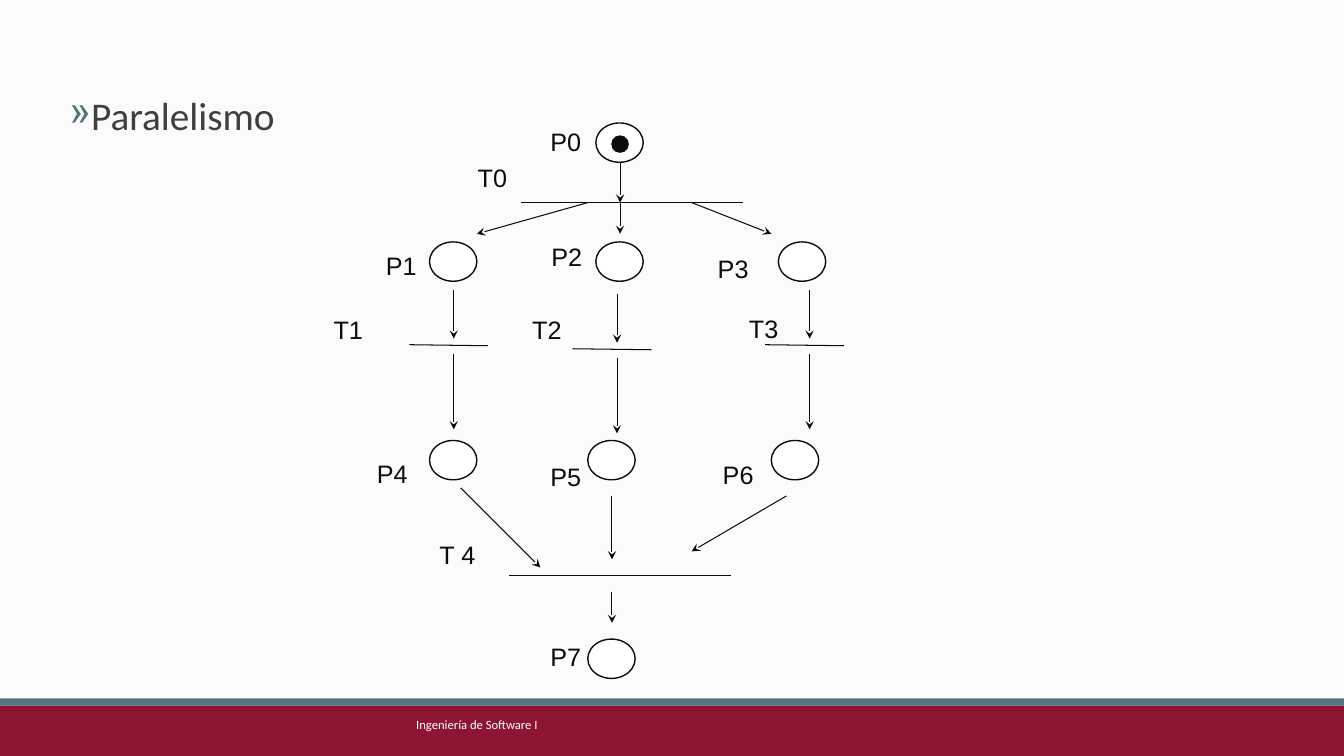
from dataclasses import dataclass

from lxml.etree import SubElement
from pptx import Presentation
from pptx.dml.color import RGBColor
from pptx.enum.shapes import MSO_CONNECTOR, MSO_SHAPE
from pptx.oxml.ns import qn
from pptx.slide import Slide
from pptx.text.text import _Paragraph
from pptx.util import Inches, Pt

COLORS = {
    "background": "FBFBFB",
    "footer": "8D1532",
    "accent": "54747B",
    "heading": "3F3F3F",
    "ink": "0C0C0C",
    "white": "FFFFFF",
}


@dataclass(frozen=True)
class Place:
    name: str
    left: float
    top: float
    label_left: float
    label_top: float
    label_width: float = 0.53


@dataclass(frozen=True)
class Label:
    text: str
    left: float
    top: float
    width: float = 0.53


@dataclass(frozen=True)
class Line:
    x1: float
    y1: float
    x2: float
    y2: float
    arrow: bool = True


@dataclass(frozen=True)
class Branch:
    """Arrow into a transition bar and arrow out of it, starting at (x, y)."""
    x: float
    y: float

    def lines(self) -> list[Line]:
        x, y = self.x, self.y
        return [
            Line(x - 0.44, y + 0.54, x + 0.34, y + 0.55, arrow=False),
            Line(x, y, x, y + 0.48),
            Line(x, y + 0.63, x, y + 1.38),
        ]


PLACES = [
    Place("P0", 5.91, 1.22, 5.36, 1.2),
    Place("P1", 4.26, 2.4, 3.73, 2.43),
    Place("P2", 5.91, 2.4, 5.37, 2.34),
    Place("P3", 7.72, 2.4, 7.02, 2.46, 0.79),
    Place("P4", 4.26, 4.37, 3.64, 4.5),
    Place("P5", 5.83, 4.37, 5.36, 4.53),
    Place("P6", 7.65, 4.37, 7.07, 4.51),
    Place("P7", 5.83, 6.34, 5.36, 6.31),
]

TRANSITIONS = [
    Label("T0", 4.64, 1.56),
    Label("T1", 3.21, 3.07),
    Label("T2", 5.18, 3.07),
    Label("T3", 7.33, 3.06),
    Label("T 4", 4.26, 5.3, 0.72),
]

FORK = [
    Line(5.17, 2.01, 7.37, 2.01, arrow=False),
    Line(6.15, 1.62, 6.15, 2.01),
    Line(5.83, 2.01, 4.73, 2.32),
    Line(6.15, 2.01, 6.15, 2.32),
    Line(6.86, 2.01, 7.65, 2.32),
]

BRANCHES = [Branch(4.5, 2.88), Branch(6.12, 2.92), Branch(8.03, 2.88)]

JOIN = [
    Line(5.05, 5.71, 7.25, 5.71, arrow=False),
    Line(4.57, 4.84, 5.36, 5.63),
    Line(6.07, 4.92, 6.07, 5.55),
    Line(7.8, 4.92, 6.86, 5.47),
    Line(6.07, 5.87, 6.07, 6.18),
]


def color(name: str) -> RGBColor:
    return RGBColor.from_string(COLORS[name])


def add_filled(slide: Slide, kind: MSO_SHAPE, left: float, top: float,
               width: float, height: float, fill: str, outline: str = "") -> None:
    figure = slide.shapes.add_shape(
        kind, Inches(left), Inches(top), Inches(width), Inches(height))
    figure.shadow.inherit = False
    figure.fill.solid()
    figure.fill.fore_color.rgb = color(fill)
    if outline:
        figure.line.color.rgb = color(outline)
        figure.line.width = Pt(1)
    else:
        figure.line.fill.background()


def add_text(slide: Slide, text: str, left: float, top: float, width: float,
             height: float, font: str, size: float, ink: str) -> _Paragraph:
    frame = slide.shapes.add_textbox(
        Inches(left), Inches(top), Inches(width), Inches(height)).text_frame
    frame.word_wrap = True
    paragraph = frame.paragraphs[0]
    paragraph.text = text
    paragraph.font.name = font
    paragraph.font.size = Pt(size)
    paragraph.font.color.rgb = color(ink)
    return paragraph


def add_bullet(paragraph: _Paragraph, mark: str, ink: str) -> None:
    properties = paragraph._p.get_or_add_pPr()
    properties.set("marL", str(Inches(0.07)))
    properties.set("indent", str(Inches(-0.19)))
    bullet_color = properties.makeelement(qn("a:buClr"), {})
    SubElement(bullet_color, qn("a:srgbClr"), val=COLORS[ink])
    bullet = properties.makeelement(qn("a:buChar"), {"char": mark})
    defaults = properties.find(qn("a:defRPr"))
    defaults.addprevious(bullet_color)
    defaults.addprevious(bullet)


def add_line(slide: Slide, line: Line) -> None:
    connector = slide.shapes.add_connector(
        MSO_CONNECTOR.STRAIGHT, Inches(line.x1), Inches(line.y1),
        Inches(line.x2), Inches(line.y2))
    connector.line.color.rgb = color("ink")
    connector.line.width = Pt(0.75)
    if line.arrow:
        SubElement(connector.line._get_or_add_ln(), qn("a:tailEnd"), type="stealth")
    SubElement(connector._element.spPr, qn("a:effectLst"))


def add_label(slide: Slide, label: Label) -> None:
    add_text(slide, label.text, label.left, label.top, label.width, 0.4,
             "Arial", 18, "ink")


def main() -> None:
    deck = Presentation()
    deck.slide_width, deck.slide_height = Inches(13.33), Inches(7.5)
    slide = deck.slides.add_slide(deck.slide_layouts[6])
    slide.background.fill.solid()
    slide.background.fill.fore_color.rgb = color("background")

    # Footer
    add_filled(slide, MSO_SHAPE.RECTANGLE, 0, 7, 13.33, 0.5, "footer")
    add_filled(slide, MSO_SHAPE.RECTANGLE, 0, 6.93, 13.33, 0.07, "accent")
    add_text(slide, "Ingeniería de Software I", 4.03, 7.06, 5.27, 0.4,
             "Calibri", 9, "white")

    # Heading
    heading = add_text(slide, "Paralelismo", 0.59, 0.93, 11.11, 1.03,
                       "Calibri", 28, "heading")
    heading.line_spacing = 0.85
    add_bullet(heading, "»", "accent")

    # Places, with the token in P0
    for place in PLACES:
        add_filled(slide, MSO_SHAPE.OVAL, place.left, place.top, 0.47, 0.39,
                   "white", "ink")
        add_label(slide, Label(place.name, place.label_left, place.label_top,
                               place.label_width))
    add_filled(slide, MSO_SHAPE.OVAL, 6.07, 1.35, 0.16, 0.16, "ink", "ink")

    # Transitions and arcs
    branch_lines = [line for branch in BRANCHES for line in branch.lines()]
    for line in FORK + branch_lines + JOIN:
        add_line(slide, line)
    for transition in TRANSITIONS:
        add_label(slide, transition)

    deck.save("out.pptx")


if __name__ == "__main__":
    main()
